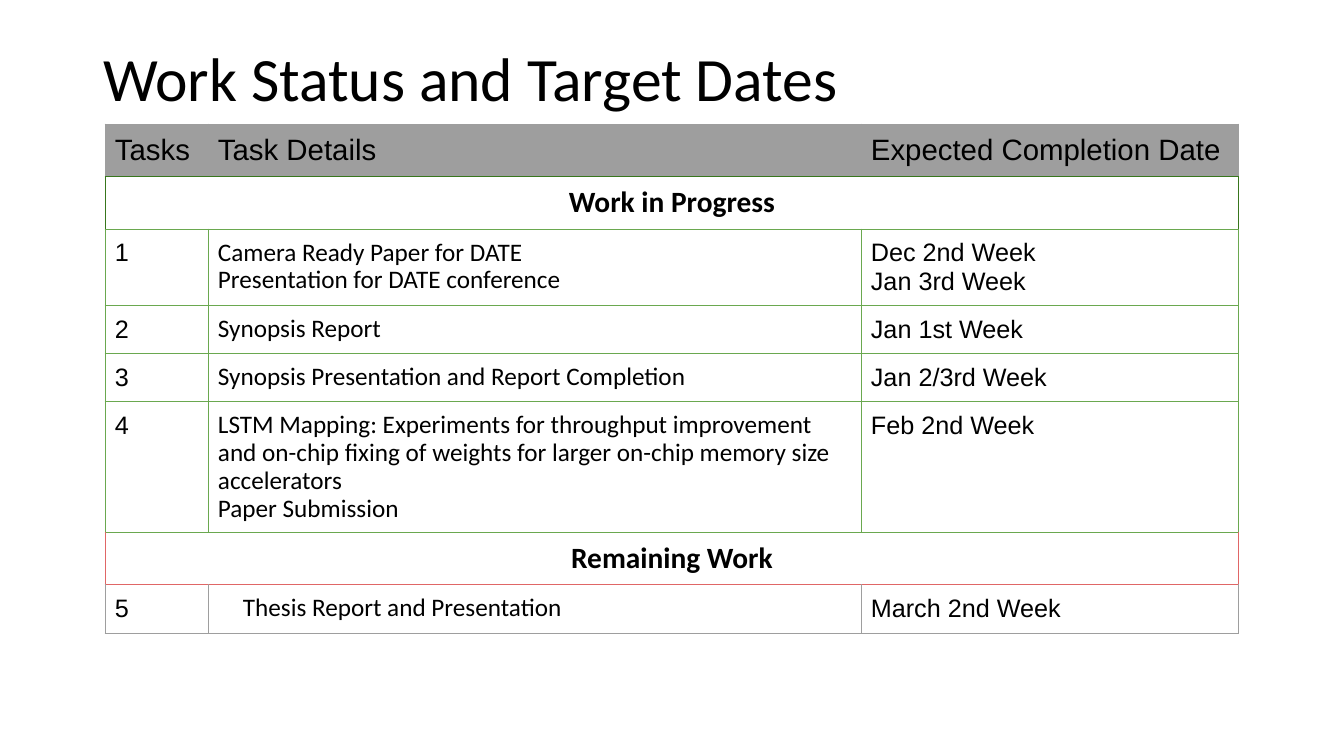
from lxml import etree
from pptx import Presentation
from pptx import util as u
from pptx.dml.color import RGBColor
from pptx.enum import text as t
from pptx.oxml.ns import qn

SCALE = 914400 / 100.8
BLACK, GRAY, GREEN, DARK, RED = "000000", "9E9E9E", "6AA84F", "38761D", "E06666"
SANS, BODY = "Arial", "Calibri"
WIDTHS = 103, 653, 378
ROW = 42

# Cell texts, then border colours: sides, top, bottom
ROWS = [
    (["Tasks", "Task Details", "Expected Completion Date"], GRAY, GRAY, DARK),
    (["Work in Progress"], DARK, DARK, GREEN),
    (["1", "Camera Ready Paper for DATE\nPresentation for DATE conference",
      "Dec 2nd Week\nJan 3rd Week"], GREEN, GREEN, GREEN),
    (["2", "Synopsis Report", "Jan 1st Week"], GREEN, GREEN, GREEN),
    (["3", "Synopsis Presentation and Report Completion", "Jan 2/3rd Week"],
     GREEN, GREEN, GREEN),
    (["4", "LSTM Mapping: Experiments for throughput improvement and on-chip "
      "fixing of weights for larger on-chip memory size accelerators\n"
      "Paper Submission", "Feb 2nd Week"], GREEN, GREEN, GREEN),
    (["Remaining Work"], RED, GREEN, RED),
    (["5", "Thesis Report and Presentation", "March 2nd Week"], GRAY, RED, GRAY),
]


def px(n):
    return u.Emu(round(n * SCALE))


def color(code):
    return RGBColor.from_string(code)


def write(frame, words, size=18, font=SANS, bold=False, align=None,
          gap=None, indent=0):
    """Fill a text frame, one paragraph for each line of words."""
    frame.text = words
    for para in frame.paragraphs:
        para.alignment = align
        para.line_spacing = gap
        if indent:
            props = para._p.get_or_add_pPr()
            props.set("marL", str(px(indent)))
            props.set("indent", "0")
        for run in para.runs:
            run.font.size = u.Pt(size)
            run.font.name = font
            run.font.bold = bold
            run.font.color.rgb = color(BLACK)


def edge(cell, side, top, low):
    """Draw the four borders of a cell."""
    props = cell._tc.get_or_add_tcPr()
    for tag, code in ("lnL", side), ("lnR", side), ("lnT", top), ("lnB", low):
        line = etree.SubElement(props, qn("a:" + tag), w=str(u.Pt(0.75)))
        fill = etree.SubElement(line, qn("a:solidFill"))
        etree.SubElement(fill, qn("a:srgbClr"), val=code)


def add_title(slide, x, y, w, h):
    title = slide.shapes.title
    title.left, title.top, title.width, title.height = map(px, (x, y, w, h))
    frame = title.text_frame
    frame.vertical_anchor = t.MSO_ANCHOR.MIDDLE
    frame.auto_size = t.MSO_AUTO_SIZE.NONE
    write(frame, "Work Status and Target Dates", size=44, font=BODY,
          align=t.PP_ALIGN.LEFT, gap=0.9)


def add_tasks(slide, x, y):
    box = map(px, (x, y, sum(WIDTHS), ROW * len(ROWS)))
    table = slide.shapes.add_table(len(ROWS), len(WIDTHS), *box).table
    table.first_row = table.horz_banding = False
    for col, width in zip(table.columns, WIDTHS):
        col.width = px(width)
    for r, (words, *lines) in enumerate(ROWS):
        table.rows[r].height = px(ROW)
        for c in range(len(WIDTHS)):
            cell = table.cell(r, c)
            cell.margin_left = cell.margin_right = px(10)
            cell.margin_top = cell.margin_bottom = px(10)
            edge(cell, *lines)
            if r == 0:
                cell.fill.solid()
                cell.fill.fore_color.rgb = color(GRAY)
            else:
                cell.fill.background()
        if len(words) == 1:
            head = table.cell(r, 0)
            head.merge(table.cell(r, len(WIDTHS) - 1))
            write(head.text_frame, words[0], size=21, font=BODY, bold=True,
                  align=t.PP_ALIGN.CENTER, gap=0.9)
            continue
        for c, word in enumerate(words):
            form = {"size": 21} if r == 0 else {}
            if r and c == 1:
                last = r == len(ROWS) - 1
                form = {"font": BODY, "gap": 0.9, "indent": 25 if last else 0}
            write(table.cell(r, c).text_frame, word, **form)


def main():
    deck = Presentation()
    deck.slide_width, deck.slide_height = px(1344), px(756)
    slide = deck.slides.add_slide(deck.slide_layouts[5])
    add_title(slide, 93, 40, 1159, 84)
    add_tasks(slide, 105, 124)
    deck.save("out.pptx")


if __name__ == "__main__":
    main()
